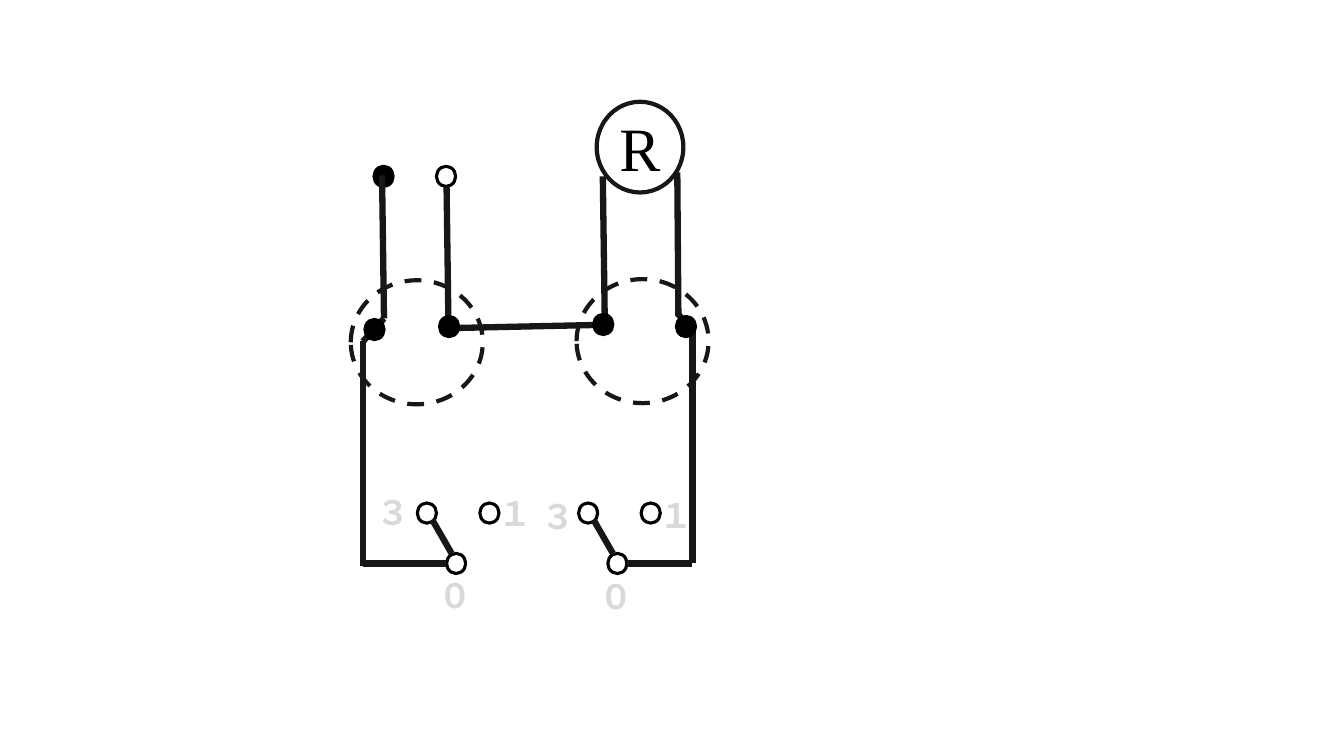
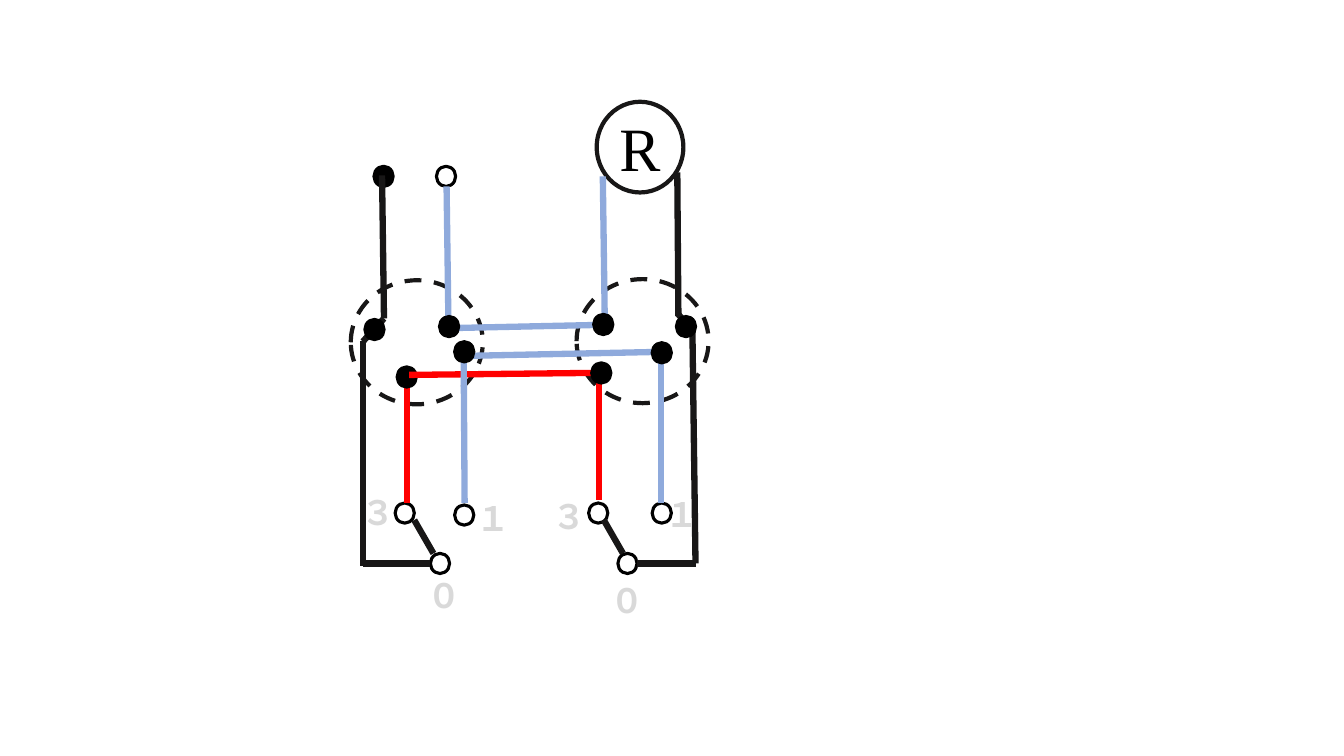
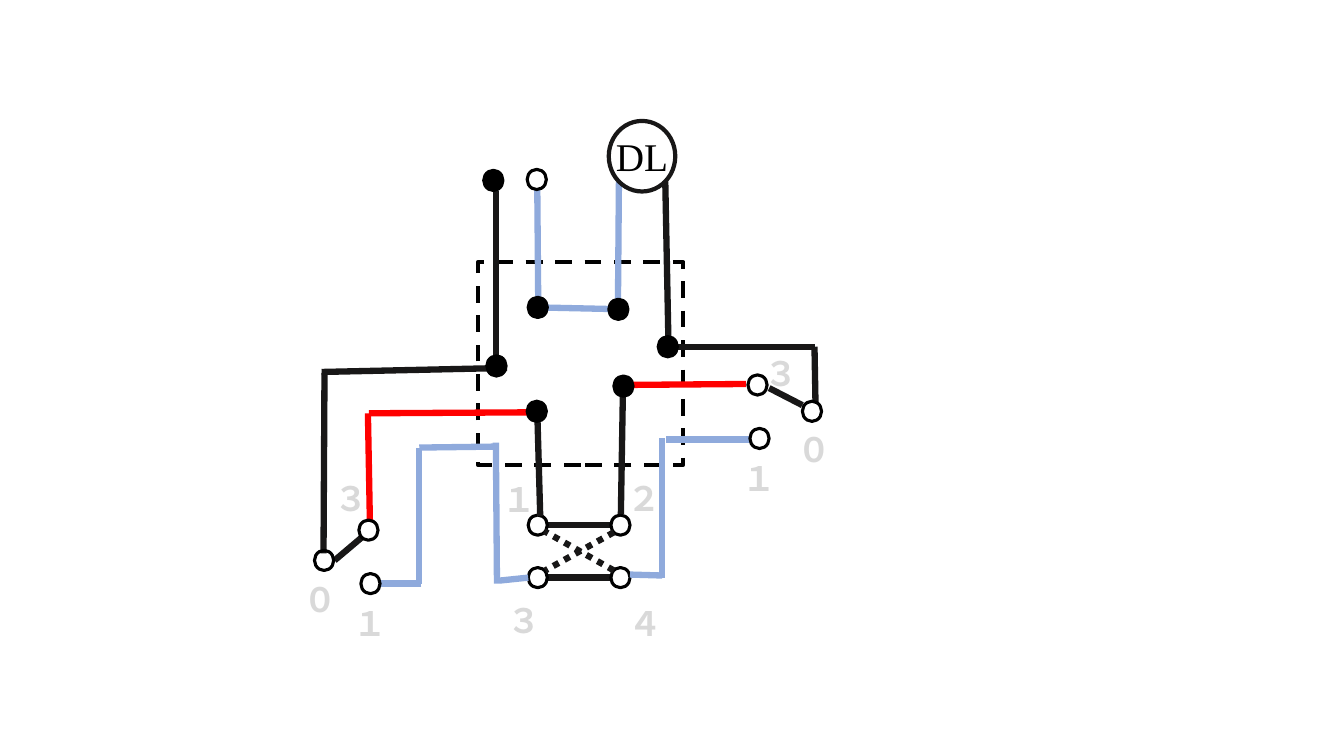
"""Build three wiring diagrams for lamps and switches."""
import dataclasses
import itertools

import lxml.etree
import pptx
import pptx.dml.color
import pptx.enum.dml
import pptx.enum.shapes
import pptx.enum.text
import pptx.oxml.ns
import pptx.util

Pt = pptx.util.Pt
Dash = pptx.enum.dml.MSO_LINE
Shape = pptx.enum.shapes.MSO_SHAPE


@dataclasses.dataclass(frozen=True)
class Theme:
    ink: str = "181717"
    black: str = "000000"
    white: str = "FFFFFF"
    neutral: str = "8FAADC"
    switched: str = "FF0000"
    label: str = "D9D9D9"
    label_font: str = "Cambria"
    lamp_font: str = "Times New Roman"
    label_size: float = 24
    large_lamp_size: float = 44
    small_lamp_size: float = 28
    wire_width: float = 4.5
    outline_width: float = 3
    node_line_width: float = 2.25
    node_size: tuple = (13.7, 14.4)
    ring_size: tuple = (94.3, 88.6)
    label_box: tuple = (38.9, 36)


class Diagram:
    def __init__(self, presentation, theme):
        self.presentation = presentation
        self.theme = theme
        self.slide = None

    def new_slide(self):
        self.slide = self.presentation.slides.add_slide(self.presentation.slide_layouts[6])

    def color(self, value):
        return pptx.dml.color.RGBColor.from_string(value)

    def stroke(self, line, color, width, dash=None):
        line.color.rgb = self.color(color)
        line.width = Pt(width)
        if dash is not None:
            line.dash_style = dash

    def corner(self, center, size):
        return tuple(middle - length / 2 for middle, length in zip(center, size))

    def outline(self, kind, center, size, fill, color, width, dash=None):
        bounds = self.corner(center, size) + size
        shape = self.slide.shapes.add_shape(kind, *(Pt(value) for value in bounds))
        shape.shadow.inherit = False
        if fill:
            shape.fill.solid()
            shape.fill.fore_color.rgb = self.color(fill)
        else:
            shape.fill.background()
        self.stroke(shape.line, color, width, dash)

    def nodes(self, centers, fill=None):
        for center in centers:
            self.outline(Shape.OVAL, center, self.theme.node_size, fill,
                         self.theme.black, self.theme.node_line_width)

    def joints(self, *centers):
        self.nodes(centers, self.theme.black)

    def terminals(self, *centers):
        self.nodes(centers)

    def ring(self, center):
        self.outline(Shape.OVAL, center, self.theme.ring_size, self.theme.white,
                     self.theme.ink, self.theme.outline_width, Dash.DASH)

    def wire(self, *points, color=None, dash=None):
        for start, end in itertools.pairwise(points):
            connector = self.slide.shapes.add_connector(
                pptx.enum.shapes.MSO_CONNECTOR.STRAIGHT, *(Pt(value) for value in start + end))
            self.stroke(connector.line, color or self.theme.ink, self.theme.wire_width, dash)
            lxml.etree.SubElement(connector._element.spPr, pptx.oxml.ns.qn("a:effectLst"))

    def text(self, words, position, box, font, size, color, bold=False):
        shape = self.slide.shapes.add_textbox(*(Pt(value) for value in position + box))
        frame = shape.text_frame
        frame.word_wrap = True
        run = frame.paragraphs[0].add_run()
        run.text = words
        run.font.name = font
        run.font.size = Pt(size)
        run.font.bold = bold
        run.font.color.rgb = self.color(color)
        return frame

    def labels(self, *entries):
        for words, left, top in entries:
            frame = self.text(words, (left, top), self.theme.label_box, self.theme.label_font,
                              self.theme.label_size, self.theme.label, bold=True)
            frame.auto_size = pptx.enum.text.MSO_AUTO_SIZE.SHAPE_TO_FIT_TEXT

    def lamp(self, words, center, size, text_size):
        self.outline(Shape.OVAL, center, size, self.theme.white,
                     self.theme.ink, self.theme.outline_width)
        frame = self.text(words, self.corner(center, size), size, self.theme.lamp_font,
                          text_size, self.theme.black)
        frame.margin_left = frame.margin_right = Pt(0)
        frame.margin_top = frame.margin_bottom = Pt(0)
        frame.vertical_anchor = pptx.enum.text.MSO_ANCHOR.MIDDLE
        frame.paragraphs[0].alignment = pptx.enum.text.PP_ALIGN.CENTER

    def two_box_circuit(self, neutral, left_pivot, right_pivot, right_corner):
        self.ring((459, 243.7))
        self.ring((297.7, 244.5))
        self.lamp("R", (457.2, 105.1), (61.9, 64.8), self.theme.large_lamp_size)
        self.joints((274, 126))
        self.terminals((318.6, 126), (left_pivot, 402.5), (right_pivot, 402.5))
        self.wire((272.9, 125.3), (274.3, 227.5), (259.2, 244))
        self.wire((259.2, 243.4), (259.2, 404))
        self.wire((259.2, 402.5), (left_pivot - 7, 402.5))
        self.wire((483.8, 123.1), (484.6, 226))
        self.wire((484.6, 224.6), (494.6, 236.2), (right_corner, 402.5),
                  (right_pivot + 7, 402.5))
        self.joints((267.5, 235.4), (490, 233.3))
        self.wire((320.4, 235.4), (319, 133.2), color=neutral)
        self.wire((432, 230.4), (430.6, 126), color=neutral)
        self.wire((320.4, 234.4), (432, 232), color=neutral)
        self.joints((320.8, 233.3), (430.9, 231.8))


def draw_basic_circuit(diagram):
    diagram.new_slide()
    diagram.two_box_circuit(diagram.theme.ink, 325.8, 441, 494.6)
    diagram.terminals(*((x, 366.5) for x in (304.9, 349.6, 420.1, 464.8)))
    for lever in (322.6, 437.8):
        diagram.wire((lever, 395.3), (lever - 13.7, 371.5))
    diagram.labels(("３", 262.1, 347.8), ("１", 349.2, 348.5), ("０", 306, 406.8),
                   ("３", 379.4, 350.6), ("０", 421.2, 407.5), ("１", 463.7, 349.9))


def draw_three_way_circuit(diagram):
    neutral, switched = diagram.theme.neutral, diagram.theme.switched
    diagram.new_slide()
    diagram.two_box_circuit(neutral, 314.3, 448.2, 496.8)
    diagram.terminals((289.1, 366.5), (331.6, 367.9), (427.3, 366.5), (472.7, 366.5))
    for lever in (309.6, 445):
        diagram.wire((lever, 395.3), (lever - 13.7, 371.5))
    diagram.labels(("３", 251.3, 347.8), ("１", 333.4, 352.1), ("０", 298.1, 406.8),
                   ("３", 387.4, 350.6), ("０", 429.1, 410.4), ("１", 468, 349.2))
    diagram.wire((290.9, 359.3), (290.9, 270), color=switched)
    diagram.joints((290.5, 269.3))
    diagram.wire((292.3, 267.8), (422.6, 266.4), color=switched)
    diagram.wire((427.7, 357.1), (427.7, 267.8), color=switched)
    diagram.wire((331.9, 359.3), (331.2, 256.3), color=neutral)
    diagram.wire((334.1, 254.2), (473.8, 251.3), color=neutral)
    diagram.wire((472.3, 257.8), (472.3, 359.3), color=neutral)
    diagram.joints((429.5, 266.4), (472.7, 252), (331.6, 251.3))


def draw_four_way_circuit(diagram):
    theme = diagram.theme
    neutral, switched = theme.neutral, theme.switched
    diagram.new_slide()
    diagram.outline(Shape.RECTANGLE, (414.7, 259.6), (146.9, 144.7), None,
                    theme.black, theme.outline_width, Dash.DASH)
    diagram.wire((231.8, 266.4), (231.1, 395.3))
    diagram.wire((229.7, 265.7), (362.2, 262.8))
    diagram.wire((442.1, 129.6), (441.4, 219.6), color=neutral)
    diagram.lamp("DL", (458.6, 111.6), (47.5, 50.4), theme.small_lamp_size)
    diagram.wire((475.2, 247.7), (582.5, 247.7))
    diagram.wire((581.8, 247.7), (582.5, 287.3))
    diagram.wire((354.2, 268.6), (354.2, 136.1))
    diagram.wire((385.2, 219.6), (448.6, 221), color=neutral)
    diagram.wire((384.5, 219.6), (383.8, 135.4), color=neutral)
    diagram.wire((475.2, 129.6), (477.4, 240.5))
    diagram.wire((573.1, 289.4), (549.4, 277.2))
    diagram.wire((258.5, 383.8), (239, 400.3))

    upper, lower = 375.1, 412.6
    for height in (upper, lower):
        diagram.wire((436.3, height), (391.7, height))
        diagram.terminals((384.1, height), (443.2, height))
    diagram.wire((438.5, 407.5), (388.8, 379.4), dash=Dash.ROUND_DOT)
    diagram.wire((438.5, 380.2), (389.5, 407.5), dash=Dash.ROUND_DOT)

    diagram.wire((301, 416.9), (272.2, 416.9), color=neutral)
    diagram.wire((299.5, 416.9), (299.5, 319.7), (355, 319), color=neutral)
    diagram.wire((354.2, 316.1), (355, 416.9), color=neutral)
    diagram.wire((357.1, 414.7), (377.3, lower), color=neutral)
    diagram.wire((473, 313.2), (473, lower), color=neutral)
    diagram.wire((450, 410.4), (473, 411.1), color=neutral)
    diagram.wire((475.9, 313.9), (535.7, 313.9), color=neutral)
    diagram.wire((442.8, 275), (532.8, 274.3), color=switched)
    diagram.wire((443.5, 367.2), (445, 277.2))
    diagram.wire((385.9, 368.6), (383.8, 294.5))
    diagram.wire((264.2, 371.5), (262.8, 295.2), color=switched)
    diagram.wire((383.8, 294.5), (263.5, 295.2), color=switched)

    diagram.terminals((383.4, 128.2), (541.1, 275), (580, 293.8), (542.5, 313.2),
                      (263.2, 378.7), (231.5, 400.3), (264.6, 416.9))
    diagram.joints((352.4, 128.9), (354.6, 261.4), (384.1, 219.6), (441.7, 221),
                   (477, 247.7), (445.3, 275.8), (383.4, 293.8))
    diagram.labels(("１", 523.4, 323.3), ("０", 562.3, 303.1), ("３", 539.3, 248.4),
                   ("１", 245.5, 427), ("０", 209.5, 409.7), ("３", 231.8, 337.7),
                   ("１", 352.1, 338.4), ("３", 355.7, 424.8),
                   ("４", 442.1, 427), ("２", 441.4, 337.7))


presentation = pptx.Presentation()
presentation.slide_width = Pt(960)
presentation.slide_height = Pt(540)
wiring = Diagram(presentation, Theme())
draw_basic_circuit(wiring)
draw_three_way_circuit(wiring)
draw_four_way_circuit(wiring)
presentation.save("out.pptx")
